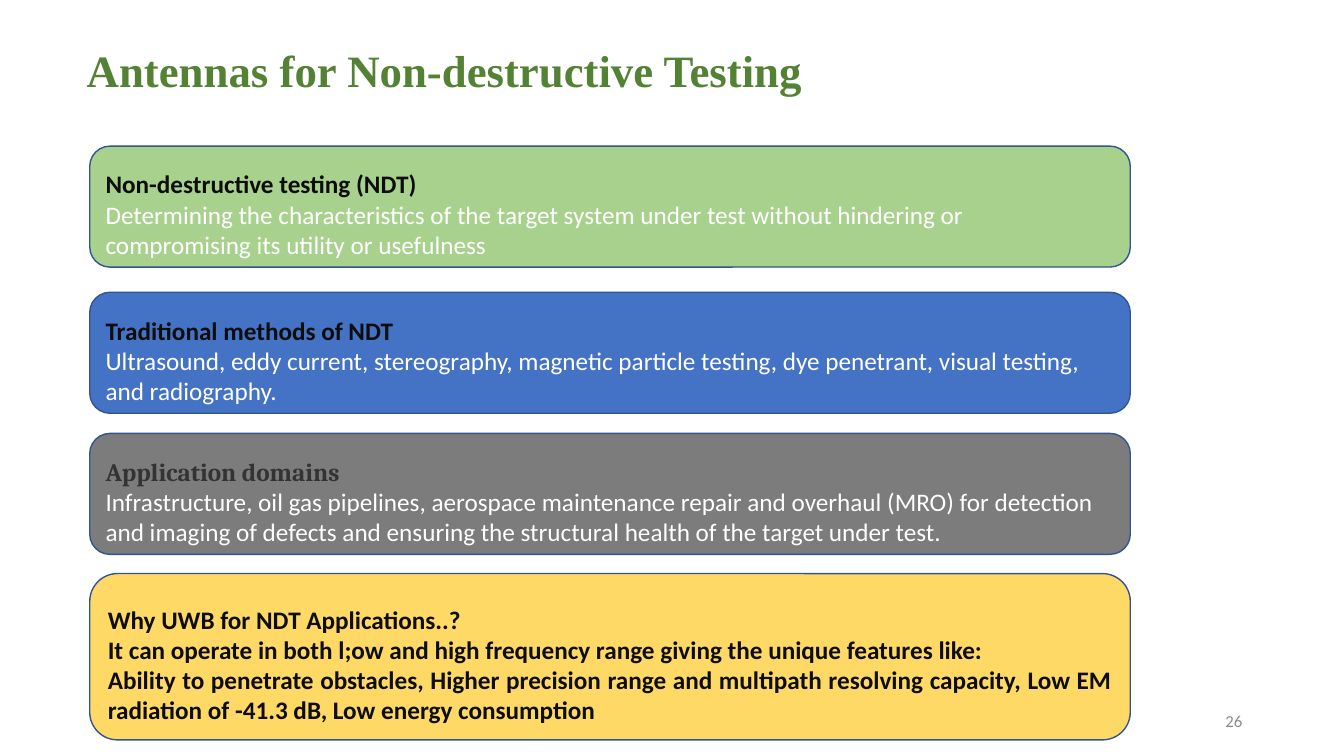
import pptx
import pptx.util
import pptx.dml.color
import pptx.enum.shapes
import pptx.enum.text

SCALE = 9144
COLORS = {
    "title": "548235", "number": "8C8C8C", "outline": "325491",
    "green": "A9D18E", "blue": "4472C4", "gray": "7C7C7C", "yellow": "FFD966",
    "dark": "0D0D0D", "charcoal": "333333", "white": "FFFFFF",
}
LEFT = pptx.enum.text.PP_ALIGN.LEFT
RIGHT = pptx.enum.text.PP_ALIGN.RIGHT
JUSTIFY = pptx.enum.text.PP_ALIGN.JUSTIFY
MIDDLE = pptx.enum.text.MSO_ANCHOR.MIDDLE


def px(*lengths):
    return [pptx.util.Emu(length * SCALE) for length in lengths]


def write(paragraph, text, size, color, bold=False, font="Calibri", align=LEFT, spacing=1.0):
    paragraph.alignment = align
    paragraph.line_spacing = spacing
    run = paragraph.add_run()
    run.text = text
    run.font.name = font
    run.font.size = pptx.util.Pt(size)
    run.font.bold = bold
    run.font.color.rgb = pptx.dml.color.RGBColor.from_string(COLORS[color])


presentation = pptx.Presentation()
presentation.slide_width, presentation.slide_height = px(1333, 750)
slide = presentation.slides.add_slide(presentation.slide_layouts[5])

title = slide.shapes.title
title.left, title.top, title.width, title.height = px(76, 0, 1150, 145)
title.text_frame.vertical_anchor = MIDDLE
write(title.text_frame.paragraphs[0], "Antennas for Non-destructive Testing", 32, "title",
      True, "Times New Roman", spacing=0.9)

number = slide.shapes.add_textbox(*px(942, 695, 300, 40))
number.text_frame.word_wrap = True
number.text_frame.vertical_anchor = MIDDLE
write(number.text_frame.paragraphs[0], "26", 12, "number", align=RIGHT)

cards = [
    (145, 120, "green", ("Non-destructive testing (NDT)", "dark", "Calibri", LEFT),
     ["Determining the characteristics of the target system under test without hindering or "
      "compromising its utility or usefulness"], ("white", False, LEFT)),
    (290, 120, "blue", ("Traditional methods of NDT", "dark", "Calibri", LEFT),
     ["Ultrasound, eddy current, stereography, magnetic particle testing, dye penetrant, "
      "visual testing, and radiography."], ("white", False, LEFT)),
    (430, 120, "gray", ("Application domains", "charcoal", "Cambria", JUSTIFY),
     ["Infrastructure, oil gas pipelines, aerospace maintenance repair and overhaul (MRO) for "
      "detection and imaging of defects and ensuring the structural health of the target "
      "under test."], ("white", False, LEFT)),
    (569, 165, "yellow", ("Why UWB for NDT Applications..?", "dark", "Calibri", LEFT),
     ["It can operate in both l;ow and high frequency range giving the unique features like:",
      "Ability to penetrate obstacles, Higher precision range and multipath resolving capacity, "
      "Low EM radiation of -41.3 dB, Low energy consumption"], ("dark", True, JUSTIFY)),
]

for top, height, fill, heading, body, (body_color, body_bold, body_align) in cards:
    card = slide.shapes.add_shape(
        pptx.enum.shapes.MSO_SHAPE.ROUNDED_RECTANGLE, *px(89, top, 1032, height))
    card.shadow.inherit = False
    card.fill.solid()
    card.fill.fore_color.rgb = pptx.dml.color.RGBColor.from_string(COLORS[fill])
    card.line.color.rgb = pptx.dml.color.RGBColor.from_string(COLORS["outline"])
    card.line.width = pptx.util.Pt(1)
    frame = card.text_frame
    frame.word_wrap = True
    frame.vertical_anchor = MIDDLE
    text, color, font, align = heading
    write(frame.paragraphs[0], text, 18, color, True, font, align, 1.5)
    for text in body:
        write(frame.add_paragraph(), text, 18, body_color, body_bold, align=body_align)

presentation.save("out.pptx")
